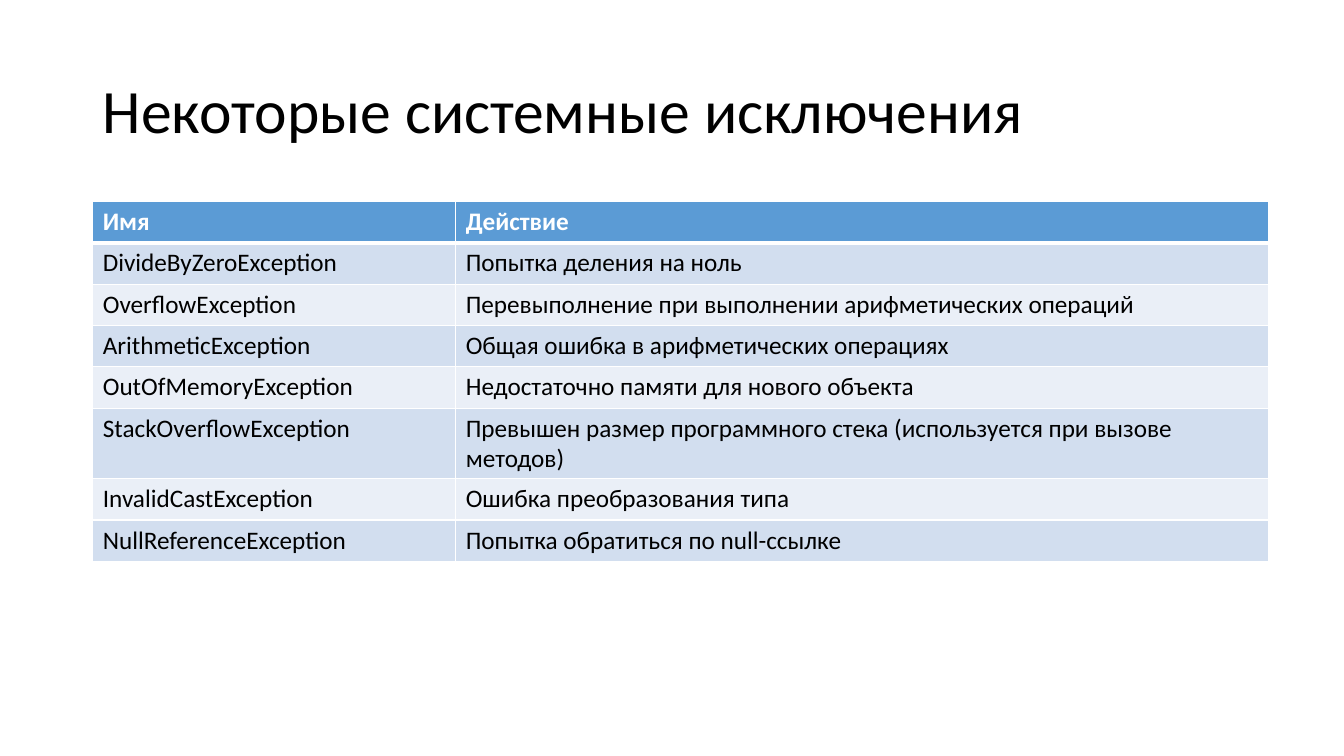
from dataclasses import dataclass

from lxml import etree
from pptx import Presentation
from pptx import util as u
from pptx.dml.color import RGBColor
from pptx.enum import text
from pptx.oxml import ns
from pptx.slide import Slide
from pptx.table import _Cell as Cell
from pptx.text.text import _Paragraph as Paragraph


@dataclass(frozen=True)
class Theme:
    font: str = "Calibri"
    title_size: int = 44
    table_size: int = 18
    ink: str = "000000"
    paper: str = "FFFFFF"
    header: str = "5B9BD5"
    bands: tuple[str, str] = ("D2DEEF", "EAEFF7")
    rule: float = 1
    header_rule: float = 3


@dataclass(frozen=True)
class ExceptionEntry:
    name: str
    action: str


THEME = Theme()
HEADINGS = ExceptionEntry("Имя", "Действие")
EXCEPTIONS = [
    ExceptionEntry("DivideByZeroException", "Попытка деления на ноль"),
    ExceptionEntry("OverflowException", "Перевыполнение при выполнении арифметических операций"),
    ExceptionEntry("ArithmeticException", "Общая ошибка в арифметических операциях"),
    ExceptionEntry("OutOfMemoryException", "Недостаточно памяти для нового объекта"),
    ExceptionEntry(
        "StackOverflowException",
        "Превышен размер программного стека (используется при вызове методов)",
    ),
    ExceptionEntry("InvalidCastException", "Ошибка преобразования типа"),
    ExceptionEntry("NullReferenceException", "Попытка обратиться по null-ссылке"),
]
LEFT = 0.92
COLUMN_WIDTHS = (3.6, 8.06)
ROW_HEIGHT = 0.41


def add_run(paragraph: Paragraph, words: str, size: int, color: str, bold: bool = False) -> None:
    run = paragraph.add_run()
    run.text = words
    run.font.name = THEME.font
    run.font.size = u.Pt(size)
    run.font.bold = bold
    run.font.color.rgb = RGBColor.from_string(color)


def add_border(cell: Cell, side: str, width: float) -> None:
    properties = cell._tc.get_or_add_tcPr()
    line = etree.SubElement(properties, ns.qn(f"a:ln{side}"), w=str(u.Pt(width)))
    fill = etree.SubElement(line, ns.qn("a:solidFill"))
    etree.SubElement(fill, ns.qn("a:srgbClr"), val=THEME.paper)


def fill_cell(cell: Cell, words: str, row: int) -> None:
    is_header = row == 0
    thick_side = {0: "B", 1: "T"}.get(row)
    for side in "LRTB":
        add_border(cell, side, THEME.header_rule if side == thick_side else THEME.rule)
    background = THEME.header if is_header else THEME.bands[(row - 1) % 2]
    cell.fill.solid()
    cell.fill.fore_color.rgb = RGBColor.from_string(background)
    color = THEME.paper if is_header else THEME.ink
    add_run(cell.text_frame.paragraphs[0], words, THEME.table_size, color, is_header)


def add_title(slide: Slide, words: str) -> None:
    title = slide.shapes.add_textbox(
        u.Inches(LEFT), u.Inches(0.4), u.Inches(11.5), u.Inches(1.45)
    ).text_frame
    title.word_wrap = True
    title.vertical_anchor = text.MSO_ANCHOR.MIDDLE
    title.paragraphs[0].line_spacing = 0.9
    add_run(title.paragraphs[0], words, THEME.title_size, THEME.ink)


def add_exceptions(slide: Slide, entries: list[ExceptionEntry]) -> None:
    exceptions = slide.shapes.add_table(
        len(entries), len(COLUMN_WIDTHS), u.Inches(LEFT), u.Inches(2),
        u.Inches(sum(COLUMN_WIDTHS)), u.Inches(ROW_HEIGHT * len(entries)),
    ).table
    for column, width in zip(exceptions.columns, COLUMN_WIDTHS):
        column.width = u.Inches(width)
    for row, entry in enumerate(entries):
        exceptions.rows[row].height = u.Inches(ROW_HEIGHT)
        for column, words in enumerate((entry.name, entry.action)):
            fill_cell(exceptions.cell(row, column), words, row)


def main() -> None:
    deck = Presentation()
    deck.slide_width, deck.slide_height = u.Inches(13.33), u.Inches(7.5)
    slide = deck.slides.add_slide(deck.slide_layouts[6])
    add_title(slide, "Некоторые системные исключения")
    add_exceptions(slide, [HEADINGS, *EXCEPTIONS])
    deck.save("out.pptx")


if __name__ == "__main__":
    main()
